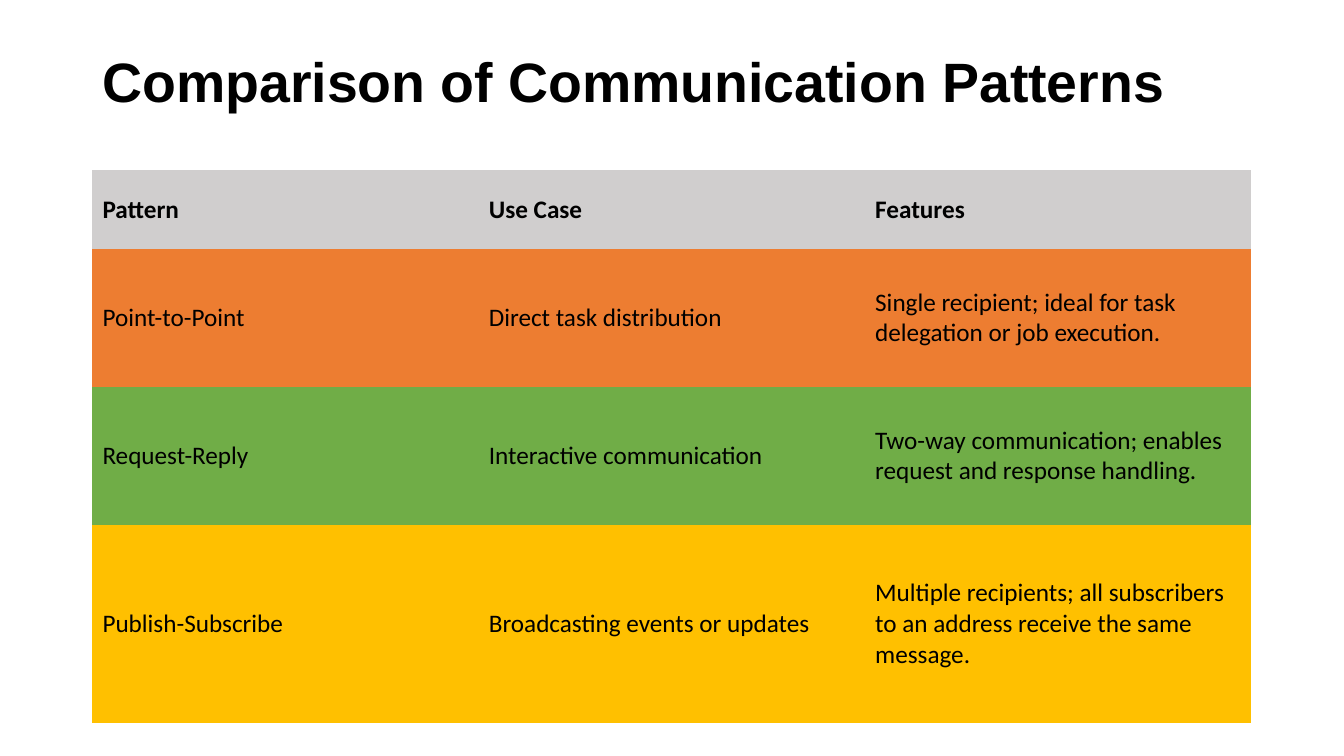
import pptx
import pptx.dml.color
import pptx.enum.text
import pptx.oxml.ns
import pptx.util

Cm = pptx.util.Cm
MIDDLE = pptx.enum.text.MSO_ANCHOR.MIDDLE
PLAIN = "{2D5ABB26-0587-4C30-8999-92F81FD0307C}"
ROWS = [
    ("D0CECE", 1.98, ("Pattern", "Use Case", "Features")),
    ("ED7D31", 3.48, (
        "Point-to-Point",
        "Direct task distribution",
        "Single recipient; ideal for task delegation or job execution.")),
    ("70AD47", 3.48, (
        "Request-Reply",
        "Interactive communication",
        "Two-way communication; enables request and response handling.")),
    ("FFC000", 4.98, (
        "Publish-Subscribe",
        "Broadcasting events or updates",
        "Multiple recipients; all subscribers to an address receive the same message.")),
]


def tint(hue):
    """Turn a hex string into a colour."""
    return pptx.dml.color.RGBColor.from_string(hue)


def style(para, face, size, bold):
    """Set the font of one paragraph."""
    font = para.font
    font.name, font.size, font.bold = face, pptx.util.Pt(size), bold
    font.color.rgb = tint("000000")


def add_title(slide, text, left, top, width, height):
    """Place the slide title in the upper part of its box."""
    frame = slide.shapes.add_textbox(Cm(left), Cm(top), Cm(width), Cm(height)).text_frame
    frame.word_wrap = True
    frame.vertical_anchor = MIDDLE
    frame.margin_bottom = Cm(1.57)
    para = frame.paragraphs[0]
    para.text = text
    para.line_spacing = 0.9
    style(para, "Arial", 39.6, True)


def add_grid(slide, rows, left, top, width):
    """Place the pattern table with equal columns and one fill per row."""
    count = len(rows[0][2])
    height = sum(row[1] for row in rows)
    shape = slide.shapes.add_table(
        len(rows), count, Cm(left), Cm(top), Cm(width), Cm(height))
    shape.element.find(".//" + pptx.oxml.ns.qn("a:tableStyleId")).text = PLAIN
    table = shape.table
    table.horz_banding = False
    for col in table.columns:
        col.width = Cm(width / count)
    for index, (hue, tall, texts) in enumerate(rows):
        table.rows[index].height = Cm(tall)
        for cell, text in zip(table.rows[index].cells, texts):
            cell.text = text
            cell.vertical_anchor = MIDDLE
            cell.fill.solid()
            cell.fill.fore_color.rgb = tint(hue)
            style(cell.text_frame.paragraphs[0], "Calibri", 18, index == 0)


def main():
    """Build and save the slide."""
    deck = pptx.Presentation()
    deck.slide_width, deck.slide_height = Cm(33.87), Cm(19.05)
    slide = deck.slides.add_slide(deck.slide_layouts[6])
    add_title(slide, "Comparison of Communication Patterns", 2.33, 1.02, 29.21, 3.68)
    add_grid(slide, ROWS, 2.33, 4.29, 29.21)
    deck.save("out.pptx")


if __name__ == "__main__":
    main()
